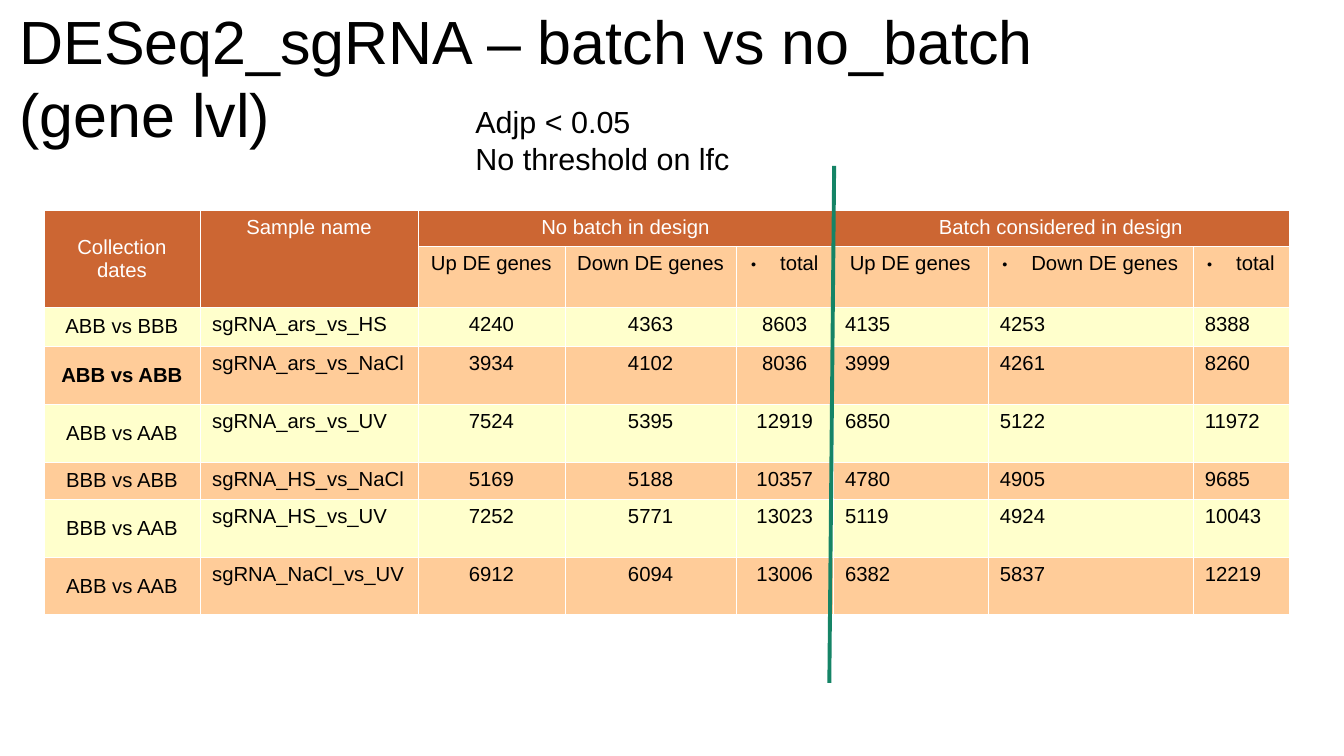
import dataclasses

import pptx
import pptx.dml.color
import pptx.enum.shapes
import pptx.enum.text
import pptx.oxml.ns
import pptx.util
from lxml import etree

Inches = pptx.util.Inches
Align = pptx.enum.text.PP_ALIGN
Anchor = pptx.enum.text.MSO_ANCHOR

FONT = "Arial"
BLACK, WHITE, GREEN = "000000", "FFFFFF", "158466"
RUST, PEACH, CREAM = "CC6633", "FFCC99", "FFFFCC"

WIDTHS = [1.28, 1.79, 1.2, 1.41, 0.79, 1.27, 1.68, 0.79]
HEIGHTS = [0.3, 0.5, 0.32, 0.47, 0.48, 0.3, 0.48, 0.47]
SPANS = [(0, 0, 1, 0), (0, 1, 1, 1), (0, 2, 0, 4), (0, 5, 0, 7)]
HEADS = [
    ["Collection dates", "Sample name", "No batch in design", "", "",
     "Batch considered in design", "", ""],
    ["", "", "Up DE genes", "Down DE genes", "total",
     "Up DE genes", "Down DE genes", "total"],
]
DOTTED = (4, 6, 7)


@dataclasses.dataclass
class Sample:
    dates: str
    name: str
    plain: tuple[int, int, int]
    batch: tuple[int, int, int]
    bold: bool = False

    def texts(self) -> list[str]:
        return [self.dates, self.name, *map(str, self.plain + self.batch)]


SAMPLES = [
    Sample("ABB vs BBB", "sgRNA_ars_vs_HS", (4240, 4363, 8603), (4135, 4253, 8388)),
    Sample("ABB vs ABB", "sgRNA_ars_vs_NaCl", (3934, 4102, 8036), (3999, 4261, 8260), True),
    Sample("ABB vs AAB", "sgRNA_ars_vs_UV", (7524, 5395, 12919), (6850, 5122, 11972)),
    Sample("BBB vs ABB", "sgRNA_HS_vs_NaCl", (5169, 5188, 10357), (4780, 4905, 9685)),
    Sample("BBB vs AAB", "sgRNA_HS_vs_UV", (7252, 5771, 13023), (5119, 4924, 10043)),
    Sample("ABB vs AAB", "sgRNA_NaCl_vs_UV", (6912, 6094, 13006), (6382, 5837, 12219)),
]


def rgb(code: str) -> pptx.dml.color.RGBColor:
    return pptx.dml.color.RGBColor.from_string(code)


def sub(node, tag: str, **attrs: str):
    """Append a DrawingML child element."""
    return etree.SubElement(node, pptx.oxml.ns.qn(f"a:{tag}"), attrs)


def add_run(para, text: str, size: float, color: str = BLACK, bold: bool = False) -> None:
    run = para.add_run()
    run.text = text
    run.font.name = FONT
    run.font.size = pptx.util.Pt(size)
    run.font.bold = bold
    run.font.color.rgb = rgb(color)


def add_dot(para) -> None:
    """Give a paragraph a small hanging bullet."""
    props = para._p.get_or_add_pPr()
    props.set("marL", str(Inches(0.24)))
    props.set("indent", str(Inches(-0.24)))
    sub(sub(props, "buClr"), "srgbClr", val=BLACK)
    sub(props, "buSzPct", val="45000")
    sub(props, "buFont", typeface=FONT)
    sub(props, "buChar", char="●")


def add_edges(cell) -> None:
    props = cell._tc.get_or_add_tcPr()
    for side in ("lnL", "lnR", "lnT", "lnB"):
        line = sub(props, side, w="720")
        sub(sub(line, "solidFill"), "srgbClr", val=WHITE)


def set_cell(cell, text: str, fill: str, color: str, align, bold: bool, dot: bool) -> None:
    add_edges(cell)
    cell.fill.solid()
    cell.fill.fore_color.rgb = rgb(fill)
    cell.margin_left = cell.margin_right = Inches(0.1)
    cell.margin_top = cell.margin_bottom = Inches(0.05)
    para = cell.text_frame.paragraphs[0]
    para.alignment = align
    if dot:
        add_dot(para)
    if text:
        add_run(para, text, 12, color, bold)


def add_title(slide) -> None:
    title = slide.shapes.title
    title.left, title.top = Inches(0.16), Inches(0.07)
    title.width, title.height = Inches(8.75), Inches(1.12)
    frame = title.text_frame
    frame.word_wrap = True
    frame.auto_size = pptx.enum.text.MSO_AUTO_SIZE.SHAPE_TO_FIT_TEXT
    frame.vertical_anchor = Anchor.MIDDLE
    frame.margin_left = frame.margin_right = 0
    frame.margin_top = frame.margin_bottom = 0
    para = frame.paragraphs[0]
    para.alignment = Align.LEFT
    add_run(para, "DESeq2_sgRNA – batch vs no_batch", 36)
    para.add_line_break()
    add_run(para, "(gene lvl)", 36)


def add_grid(slide) -> None:
    rows = HEADS + [sample.texts() for sample in SAMPLES]
    grid = slide.shapes.add_table(
        len(rows), len(WIDTHS), Inches(0.36), Inches(1.72),
        Inches(sum(WIDTHS)), Inches(sum(HEIGHTS))).table
    for col, width in zip(grid.columns, WIDTHS):
        col.width = Inches(width)
    for row, height in zip(grid.rows, HEIGHTS):
        row.height = Inches(height)
    for top, left, bottom, right in SPANS:
        grid.cell(top, left).merge(grid.cell(bottom, right))
    for r, texts in enumerate(rows):
        head = r < len(HEADS)
        for c, text in enumerate(texts):
            dark = r == 0 or (head and c < 2)
            fill = RUST if dark else PEACH if r % 2 else CREAM
            mid = head or c in (0, 2, 3, 4)
            bold = not head and c == 0 and SAMPLES[r - len(HEADS)].bold
            cell = grid.cell(r, c)
            set_cell(cell, text, fill, WHITE if dark else BLACK,
                     Align.CENTER if mid else Align.LEFT, bold, r == 1 and c in DOTTED)
            if c == 0:
                cell.vertical_anchor = Anchor.MIDDLE


def add_split(slide) -> None:
    """Draw the line between the two designs."""
    line = slide.shapes.add_connector(
        pptx.enum.shapes.MSO_CONNECTOR.STRAIGHT,
        Inches(6.84), Inches(1.36), Inches(6.8), Inches(5.6))
    line.line.color.rgb = rgb(GREEN)
    line.line.width = pptx.util.Pt(2.3)
    sub(line._element.spPr, "effectLst")


def add_note(slide) -> None:
    box = slide.shapes.add_textbox(Inches(3.8), Inches(0.8), Inches(4.2), Inches(0.66))
    frame = box.text_frame
    frame.word_wrap = True
    frame.auto_size = pptx.enum.text.MSO_AUTO_SIZE.SHAPE_TO_FIT_TEXT
    add_run(frame.paragraphs[0], "Adjp < 0.05", 18)
    add_run(frame.add_paragraph(), "No threshold on lfc", 18)


def main() -> None:
    deck = pptx.Presentation()
    deck.slide_width, deck.slide_height = Inches(11.02), Inches(6.2)
    slide = deck.slides.add_slide(deck.slide_layouts[5])
    add_title(slide)
    add_grid(slide)
    add_split(slide)
    add_note(slide)
    deck.save("out.pptx")


if __name__ == "__main__":
    main()
